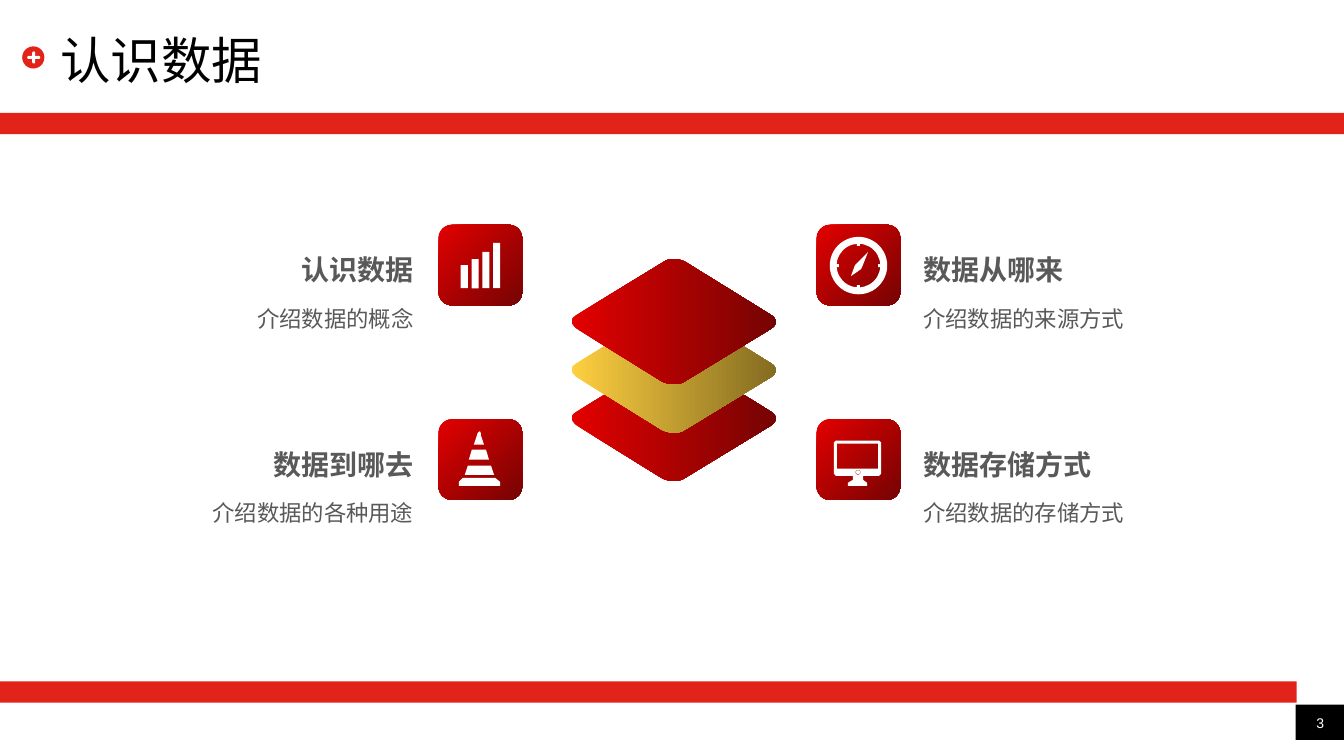
from math import cos, pi, sin

from pptx import Presentation
from pptx.dml.color import RGBColor
from pptx.enum.shapes import MSO_SHAPE
from pptx.enum.text import MSO_ANCHOR, MSO_AUTO_SIZE, PP_ALIGN
from pptx.util import Inches, Pt

RED, WHITE, BLACK, GRAY = "E2231A", "FFFFFF", "000000", "595959"
CRIMSON = ("E30000", "760303")
GOLD = ("FECF40", "846C21")
TILE_W, TILE_H = 0.83, 0.8


def color(text):
    return RGBColor.from_string(text)


def paint(shape, fill, angle=0):
    """Fill with one colour, or with a gradient when given a pair."""
    shape.shadow.inherit = False
    shape.line.fill.background()
    if isinstance(fill, str):
        shape.fill.solid()
        shape.fill.fore_color.rgb = color(fill)
        return
    shape.fill.gradient()
    shape.fill.gradient_angle = angle
    for stop, tone in zip(shape.fill.gradient_stops, fill):
        stop.color.rgb = color(tone)


def add_form(shapes, kind, box, fill, angle=0, adjust=None):
    shape = shapes.add_shape(kind, *map(Inches, box))
    paint(shape, fill, angle)
    if adjust is not None:
        shape.adjustments[0] = adjust
    return shape


def add_path(shapes, left, top, rings, fill):
    """Draw closed rings of points; a ring inside another is a hole."""
    pen = None
    for ring in rings:
        first, *rest = [(Inches(left + x), Inches(top + y)) for x, y in ring]
        if pen is None:
            pen = shapes.build_freeform(*first)
        else:
            pen.move_to(*first)
        pen.add_line_segments(rest, close=True)
    paint(pen.convert_to_shape(), fill)


def set_text(shape, text, size, tone, align, bold=False, spacing=None):
    frame = shape.text_frame
    frame.text = text
    line = frame.paragraphs[0]
    line.alignment = align
    if spacing:
        line.line_spacing = spacing
    style = {"name": "Arial", "size": Pt(size), "bold": bold}
    for key, value in style.items():
        setattr(line.runs[0].font, key, value)
    line.runs[0].font.color.rgb = color(tone)


def set_frame(shape, anchor):
    """Take away the margins and place the text by its anchor."""
    form = {"word_wrap": True, "auto_size": MSO_AUTO_SIZE.NONE,
            "vertical_anchor": anchor, "margin_left": 0, "margin_right": 0,
            "margin_top": 0, "margin_bottom": 0}
    for key, value in form.items():
        setattr(shape.text_frame, key, value)


def curve(start, one, two, end, steps=8):
    """Points of a cubic curve."""
    for step in range(steps + 1):
        t = step / steps
        u = 1 - t
        yield tuple(u**3 * a + 3 * u * u * t * b + 3 * u * t * t * c + t**3 * d
                    for a, b, c, d in zip(start, one, two, end))


def add_layer(shapes, top, fill):
    corners = [
        ((0.93, 0.04), (0.98, 0), (1.08, 0), (1.15, 0.04)),
        ((1.99, 0.56), (2.06, 0.6), (2.06, 0.66), (2, 0.7)),
        ((1.13, 1.23), (1.08, 1.26), (0.98, 1.26), (0.91, 1.22)),
        ((0.07, 0.7), (0.01, 0.66), (0, 0.6), (0.06, 0.57)),
    ]
    ring = [point for corner in corners for point in curve(*corner)]
    add_path(shapes, 5.65, top, [ring], fill)


def draw_bars(shapes, x, y):
    for i, height in enumerate((0.23, 0.29, 0.36, 0.45)):
        box = (x + 0.22 + 0.107 * i, y + 0.63 - height, 0.07, height)
        add_form(shapes, MSO_SHAPE.RECTANGLE, box, WHITE)


def draw_compass(shapes, x, y):
    add_form(shapes, MSO_SHAPE.DONUT, (x + 0.13, y + 0.12, 0.57, 0.57),
             WHITE, adjust=0.12)
    for dx, dy in ((0, -1), (1, 0), (0, 1), (-1, 0)):
        box = (x + 0.4 + 0.21 * dx, y + 0.39 + 0.21 * dy, 0.03, 0.03)
        add_form(shapes, MSO_SHAPE.RECTANGLE, box, WHITE)
    needle = [(0.34, 0.51), (0.38, 0.4), (0.39, 0.39), (0.51, 0.27),
              (0.45, 0.42), (0.44, 0.44)]
    add_path(shapes, x, y, [needle], WHITE)


def draw_cone(shapes, x, y):
    base = [(0.2, 0.66), (0.2, 0.62), (0.24, 0.58), (0.56, 0.58),
            (0.61, 0.62), (0.61, 0.66)]
    low = [(0.26, 0.55), (0.29, 0.46), (0.52, 0.46), (0.55, 0.55)]
    high = [(0.3, 0.4), (0.33, 0.3), (0.47, 0.3), (0.5, 0.4)]
    tip = [(0.35, 0.25), *curve((0.38, 0.16), (0.38, 0.14), (0.42, 0.08),
                                (0.42, 0.16)), (0.45, 0.25)]
    add_path(shapes, x, y, [base, low, high, tip], WHITE)


def draw_screen(shapes, x, y):
    case = [(0.19, 0.21), (0.62, 0.21), (0.64, 0.23), (0.64, 0.54),
            (0.62, 0.56), (0.46, 0.56), (0.46, 0.6), (0.5, 0.63),
            (0.5, 0.66), (0.31, 0.66), (0.31, 0.63), (0.36, 0.6),
            (0.36, 0.56), (0.19, 0.56), (0.17, 0.54), (0.17, 0.23)]
    glass = [(0.2, 0.24), (0.2, 0.49), (0.61, 0.49), (0.61, 0.24)]
    knob = [(0.41 + 0.025 * cos(i * pi / 8), 0.525 - 0.025 * sin(i * pi / 8))
            for i in range(16)]
    add_path(shapes, x, y, [case, glass, knob], WHITE)
    add_form(shapes, MSO_SHAPE.OVAL, (x + 0.39, y + 0.505, 0.04, 0.04), WHITE)


def add_card(slide, x, y, draw, head, note):
    shapes = slide.shapes.add_group_shape().shapes
    add_form(shapes, MSO_SHAPE.ROUNDED_RECTANGLE, (x, y, TILE_W, TILE_H),
             CRIMSON, 315)
    draw(shapes, x, y)
    right = x > 6
    rows = [(note, 0.61, 3.46, 16, False, 1.5, PP_ALIGN.JUSTIFY),
            (head, 0.16, 0.19 + 0.28 * len(head), 20, True, 1.2, PP_ALIGN.LEFT)]
    for text, drop, width, size, bold, spacing, align in rows:
        left = x + TILE_W + 0.13 if right else x - 0.15 - width
        box = shapes.add_textbox(*map(Inches, (left, y + drop, width, 0.5)))
        box.text_frame.word_wrap = not bold
        box.text_frame.auto_size = MSO_AUTO_SIZE.SHAPE_TO_FIT_TEXT
        set_text(box, text, size, GRAY, align if right else PP_ALIGN.RIGHT,
                 bold, spacing)


def add_badge(shapes):
    add_form(shapes, MSO_SHAPE.OVAL, (0.22, 0.46, 0.22, 0.22), RED)
    for box in ((0.27, 0.555, 0.13, 0.03), (0.32, 0.51, 0.03, 0.12)):
        add_form(shapes, MSO_SHAPE.ROUNDED_RECTANGLE, box, WHITE, adjust=0.5)


def add_title(slide, text):
    title = slide.shapes.title
    place = {"left": 0.6, "top": 0.3, "width": 12.11, "height": 0.57}
    for key, value in place.items():
        setattr(title, key, Inches(value))
    set_frame(title, MSO_ANCHOR.MIDDLE)
    set_text(title, text, 36, BLACK, PP_ALIGN.LEFT)


def add_number(shapes, text):
    add_form(shapes, MSO_SHAPE.RECTANGLE, (12.85, 6.99, 0.48, 0.35), BLACK)
    box = shapes.add_textbox(*map(Inches, (12.85, 6.99, 0.49, 0.27)))
    set_frame(box, MSO_ANCHOR.BOTTOM)
    set_text(box, text, 10, WHITE, PP_ALIGN.CENTER)


def main():
    deck = Presentation()
    deck.slide_width, deck.slide_height = Inches(13.33), Inches(7.5)
    slide = deck.slides.add_slide(deck.slide_layouts[5])
    shapes = slide.shapes
    add_number(shapes, "3")
    add_badge(shapes)
    add_title(slide, "认识数据")
    for box in ((0, 1.12, 13.33, 0.21), (-0.01, 6.76, 12.87, 0.21)):
        add_form(shapes, MSO_SHAPE.RECTANGLE, box, RED)

    stack = shapes.add_group_shape().shapes
    for i, fill in enumerate((CRIMSON, GOLD, CRIMSON)):
        add_layer(stack, 3.52 - 0.48 * i, fill)

    cards = [
        (8.1, 2.23, draw_compass, "数据从哪来", "介绍数据的来源方式"),
        (8.1, 4.16, draw_screen, "数据存储方式", "介绍数据的存储方式"),
        (4.35, 4.16, draw_cone, "数据到哪去", "介绍数据的各种用途"),
        (4.35, 2.23, draw_bars, "认识数据", "介绍数据的概念"),
    ]
    for card in cards:
        add_card(slide, *card)
    deck.save("out.pptx")


if __name__ == "__main__":
    main()
